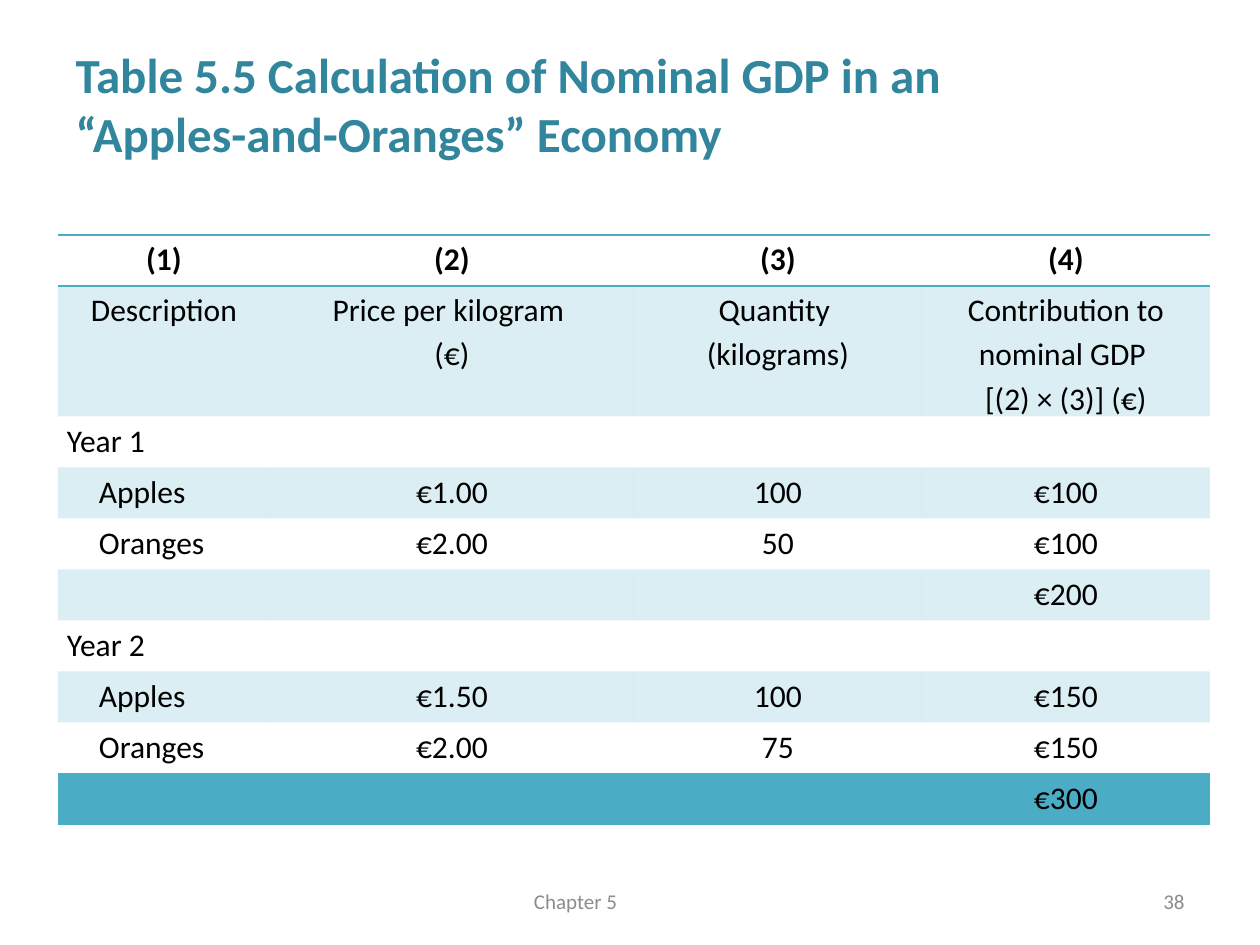
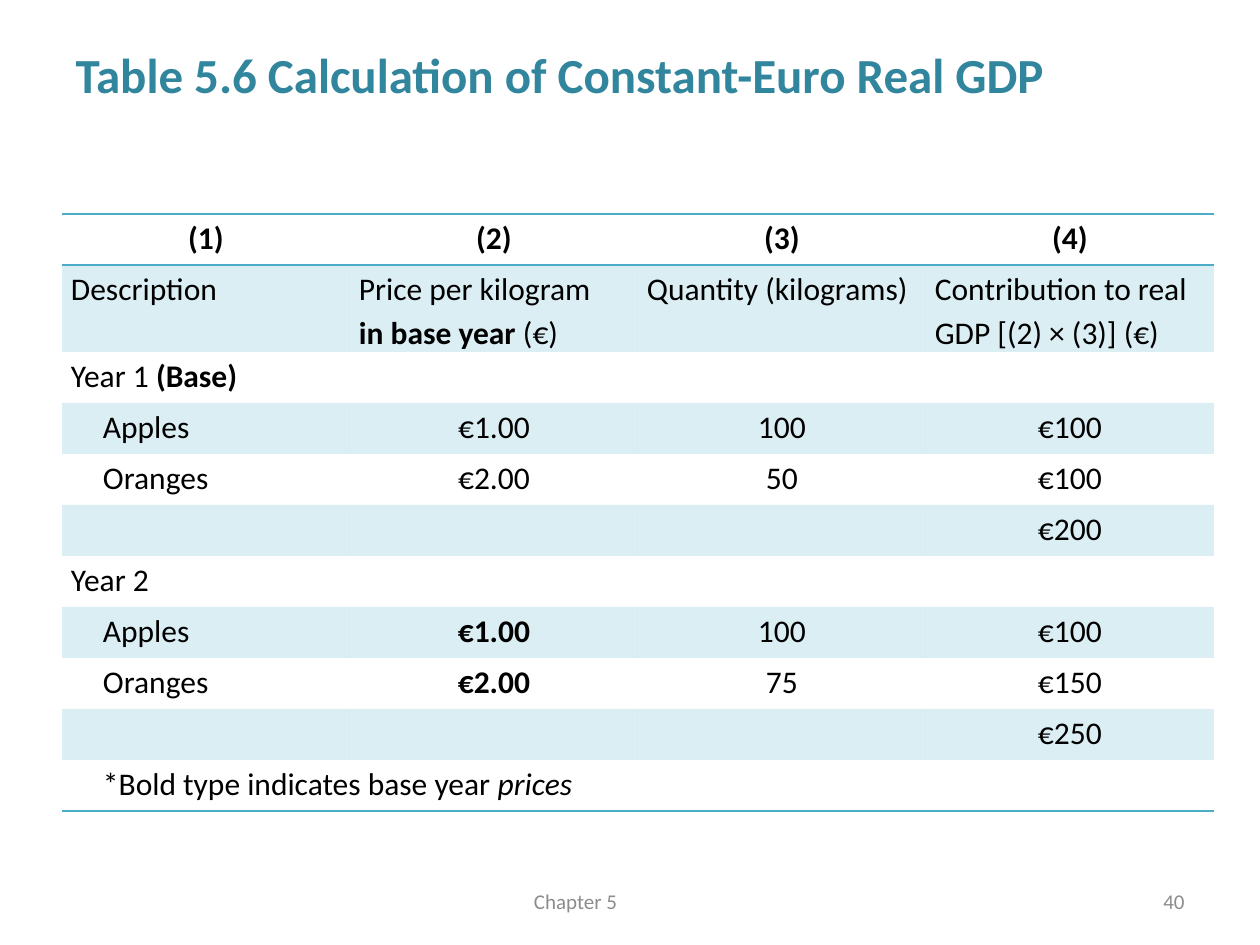
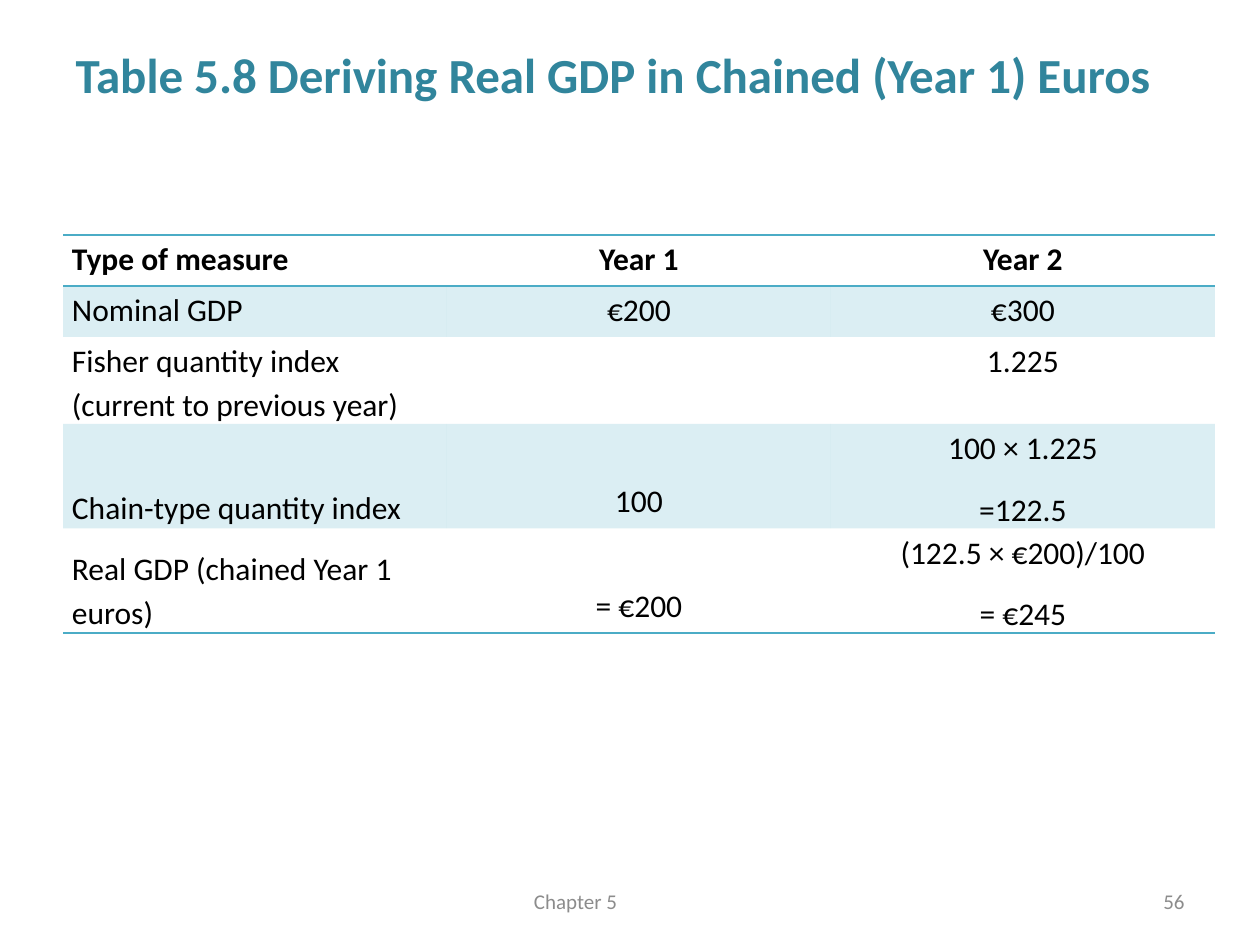
from dataclasses import dataclass

from lxml.etree import SubElement
from pptx import Presentation
from pptx.dml.color import RGBColor
from pptx.enum.text import MSO_ANCHOR, MSO_AUTO_SIZE, PP_ALIGN
from pptx.oxml.ns import qn
from pptx.util import Pt


@dataclass(frozen=True)
class Theme:
    """Colours, type sizes and style shared by all slides."""
    font: str = "Calibri"
    title: str = "31859C"
    ink: str = "000000"
    foot: str = "8C8C8C"
    line: str = "4BACC6"
    tint: int = 20
    large: int = 28
    body: int = 18
    small: int = 12
    plain: str = "{2D5ABB26-0587-4C30-8999-92F81FD0307C}"


THEME = Theme()
SCALE = 914400 / 126
ROW = 51
PAD = 9
LEFT, MID, RIGHT = PP_ALIGN.LEFT, PP_ALIGN.CENTER, PP_ALIGN.RIGHT
TOP, LOW = MSO_ANCHOR.TOP, MSO_ANCHOR.BOTTOM


def px(count):
    """Turn pixels into EMU."""
    return round(count * SCALE)


def write(frame, text, size=THEME.body, color=THEME.ink, bold=False,
          align=LEFT, indent=0, lead=None, after=0):
    """Fill a frame with a string, or with (string, style) runs."""
    runs = [(text, "")] if isinstance(text, str) else text
    par = None
    for words, style in runs:
        for place, block in enumerate(words.split("\n")):
            if par is None or place:
                par = frame.add_paragraph() if par else frame.paragraphs[0]
                par.alignment, par.line_spacing = align, lead
                par.space_before, par.space_after = Pt(0), Pt(after)
                if indent:
                    par._p.get_or_add_pPr().set("marL", str(px(indent)))
            for turn, piece in enumerate(block.split("\v")):
                if turn:
                    par.add_line_break()
                if not piece:
                    continue
                run = par.add_run()
                run.text = piece
                font = run.font
                font.name, font.size = THEME.font, Pt(size)
                font.bold, font.italic = bold or style == "b", style == "i"
                font.color.rgb = RGBColor.from_string(color)


def label(slide, text, left, width, align):
    """Add a footer text box."""
    box = slide.shapes.add_textbox(px(left), px(876), px(width), px(50))
    frame = box.text_frame
    frame.word_wrap = True
    frame.vertical_anchor = MSO_ANCHOR.MIDDLE
    write(frame, text, size=THEME.small, color=THEME.foot, align=align)


def page(deck, title, number):
    """Add a slide with its title and footers."""
    slide = deck.slides.add_slide(deck.slide_layouts[5])
    head = slide.shapes.title
    head.left, head.top, head.width, head.height = map(px, (63, 38, 1134, 137))
    frame = head.text_frame
    frame.auto_size = MSO_AUTO_SIZE.NONE
    frame.vertical_anchor = TOP
    write(frame, title, size=THEME.large, color=THEME.title, bold=True)
    label(slide, "Chapter 5", 271, 609, MID)
    label(slide, str(number), 903, 294, RIGHT)
    return slide


def rule(cell, side):
    """Draw a one-point border on a side of a cell."""
    line = SubElement(cell._tc.get_or_add_tcPr(), qn("a:" + side), w=str(Pt(1)))
    fill = SubElement(line, qn("a:solidFill"))
    SubElement(fill, qn("a:srgbClr"), val=THEME.line)


def shade(cell, on):
    """Tint a cell or leave it clear."""
    if not on:
        cell.fill.background()
        return
    cell.fill.solid()
    cell.fill.fore_color.rgb = RGBColor.from_string(THEME.line)
    tone = cell._tc.tcPr.find(".//" + qn("a:srgbClr"))
    SubElement(tone, qn("a:alpha"), val=str(THEME.tint * 1000))


def fill(cell, item, align, bold):
    """Put an item, a text or (text, format) pair, into a cell."""
    text, form = item if isinstance(item, tuple) else (item, {})
    form = {"align": align, "bold": bold, **form}
    cell.vertical_anchor = form.pop("anchor", TOP)
    cell.margin_left = cell.margin_right = px(PAD)
    cell.margin_top, cell.margin_bottom = 0, px(form.pop("lift", 0))
    write(cell.text_frame, text, lead=1.15, after=10, **form)


def grid(slide, left, top, cols, rows, mid=(0,), flush=()):
    """Add a banded table; a row with one item spans all columns."""
    last = len(rows) - 1
    table = slide.shapes.add_table(
        len(rows), len(cols), px(left), px(top),
        px(sum(cols)), px(ROW * len(rows))).table
    table.first_row = table.horz_banding = False
    table._tbl.tblPr.find(qn("a:tableStyleId")).text = THEME.plain
    for col, width in zip(table.columns, cols):
        col.width = px(width)
    for r, row in enumerate(rows):
        table.rows[r].height = px(ROW)
        if len(row) == 1:
            table.cell(r, 0).merge(table.cell(r, len(cols) - 1))
        for c in range(len(cols)):
            cell = table.cell(r, c)
            if r == 0:
                rule(cell, "lnT")
            if r in (0, last):
                rule(cell, "lnB")
            shade(cell, r % 2)
            if c < len(row) and row[c]:
                middle = r in mid or (c > 0 and r not in flush)
                fill(cell, row[c], MID if middle else LEFT, r == 0)


def year(name, apples, oranges, total):
    """Give the four rows of one year."""
    return [[name, "", "", ""],
            [("Apples", {"indent": 32}), *apples],
            [("Oranges", {"indent": 32}), *oranges],
            ["", "", "", total]]


def strong(text):
    """Mark a cell text as bold."""
    return text, {"bold": True}


def low(text, lift=0):
    """Set a cell text at the foot of its row."""
    return text, {"anchor": LOW, "lift": lift}


def nominal(deck, heads):
    """Build the nominal GDP slide."""
    slide = page(deck, "Table 5.5 Calculation of Nominal GDP in an \v"
                 "“Apples-and-Oranges” Economy", 38)
    grid(slide, 58, 235, (212, 364, 288, 288), [
        heads,
        ["Description", "Price per kilogram \v(€)", "Quantity \v(kilograms)",
         "Contribution to nominal GDP \v[(2) × (3)] (€)"],
        *year("Year 1", ("€1.00", "100", "€100"),
              ("€2.00", "50", "€100"), "€200"),
        *year("Year 2", ("€1.50", "100", "€150"),
              ("€2.00", "75", "€150"), "€300"),
    ], mid=(0, 1))


def real(deck, heads):
    """Build the constant-euro real GDP slide."""
    slide = page(deck, "Table 5.6 Calculation of Constant-Euro Real GDP", 40)
    note = [("*Bold type indicates base year ", ""), ("prices", "i")]
    price = [("Price per kilogram\v", ""), ("in base year ", "b"), ("(€)", "")]
    grid(slide, 62, 214, (288,) * 4, [
        heads,
        ["Description", price, "Quantity (kilograms)",
         "Contribution to real GDP [(2) × (3)] (€)"],
        *year([("Year 1 ", ""), ("(Base)", "b")], ("€1.00", "100", "€100"),
              ("€2.00", "50", "€100"), "€200"),
        *year("Year 2", (strong("€1.00"), "100", "€100"),
              (strong("€2.00"), "75", "€150"), "€250"),
        [(note, {"indent": 32})],
    ], flush=(1,))


def chained(deck):
    """Build the chained euros slide."""
    slide = page(deck,
                 "Table 5.8 Deriving Real GDP in Chained (Year 1) Euros", 56)
    grid(slide, 63, 235, (384,) * 3, [
        ["Type of measure", "Year 1", "Year 2"],
        ["Nominal GDP", "€200", "€300"],
        ["Fisher quantity index (current to previous year)", "", "1.225"],
        [low("Chain-type quantity index"), low("100", 7),
         "100 × 1.225\n=122.5"],
        [low("Real GDP (chained Year 1 euros)"), low("= €200", 7),
         "(122.5 × €200)/100\n= €245"],
    ], mid=())


def main():
    """Build and save the deck."""
    deck = Presentation()
    deck.slide_width, deck.slide_height = px(1260), px(945)
    heads = [f"({n})" for n in range(1, 5)]
    nominal(deck, heads)
    real(deck, heads)
    chained(deck)
    deck.save("out.pptx")


if __name__ == "__main__":
    main()
